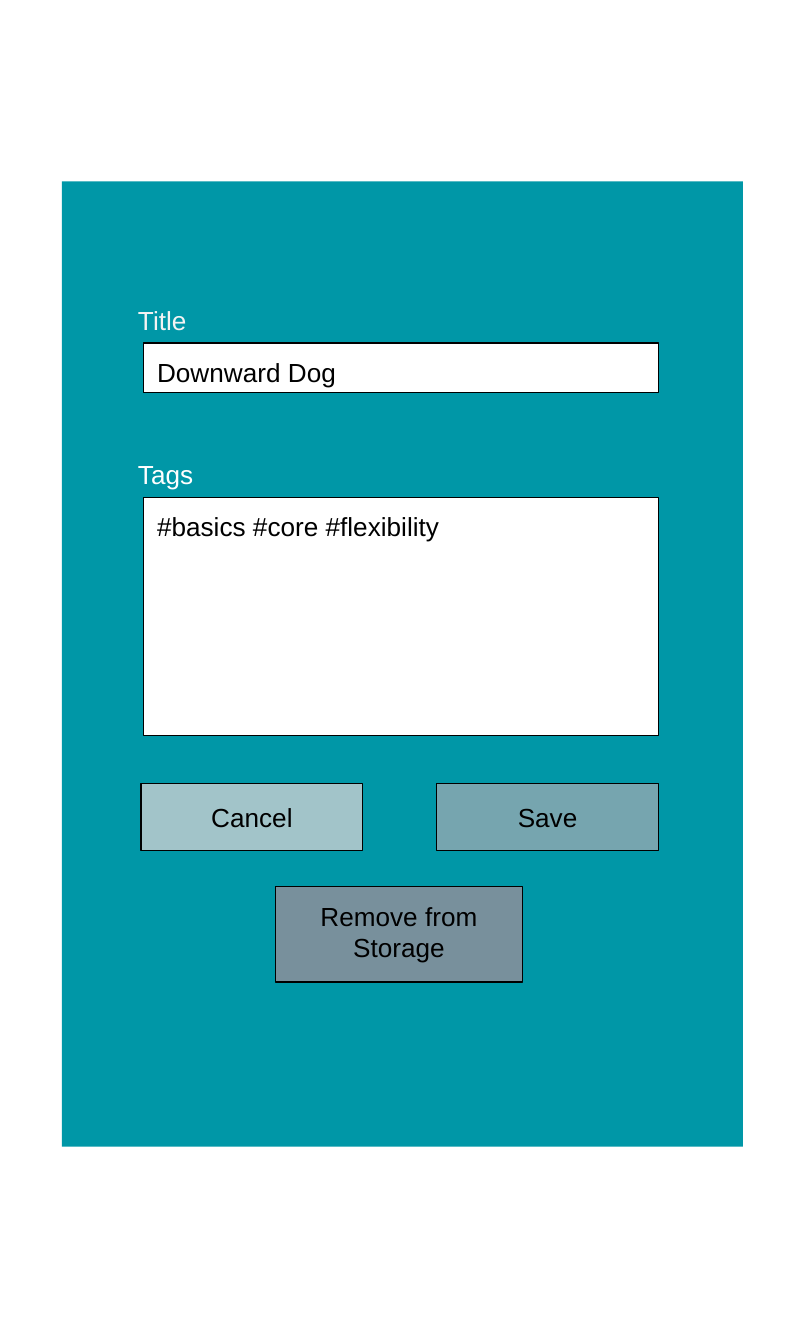
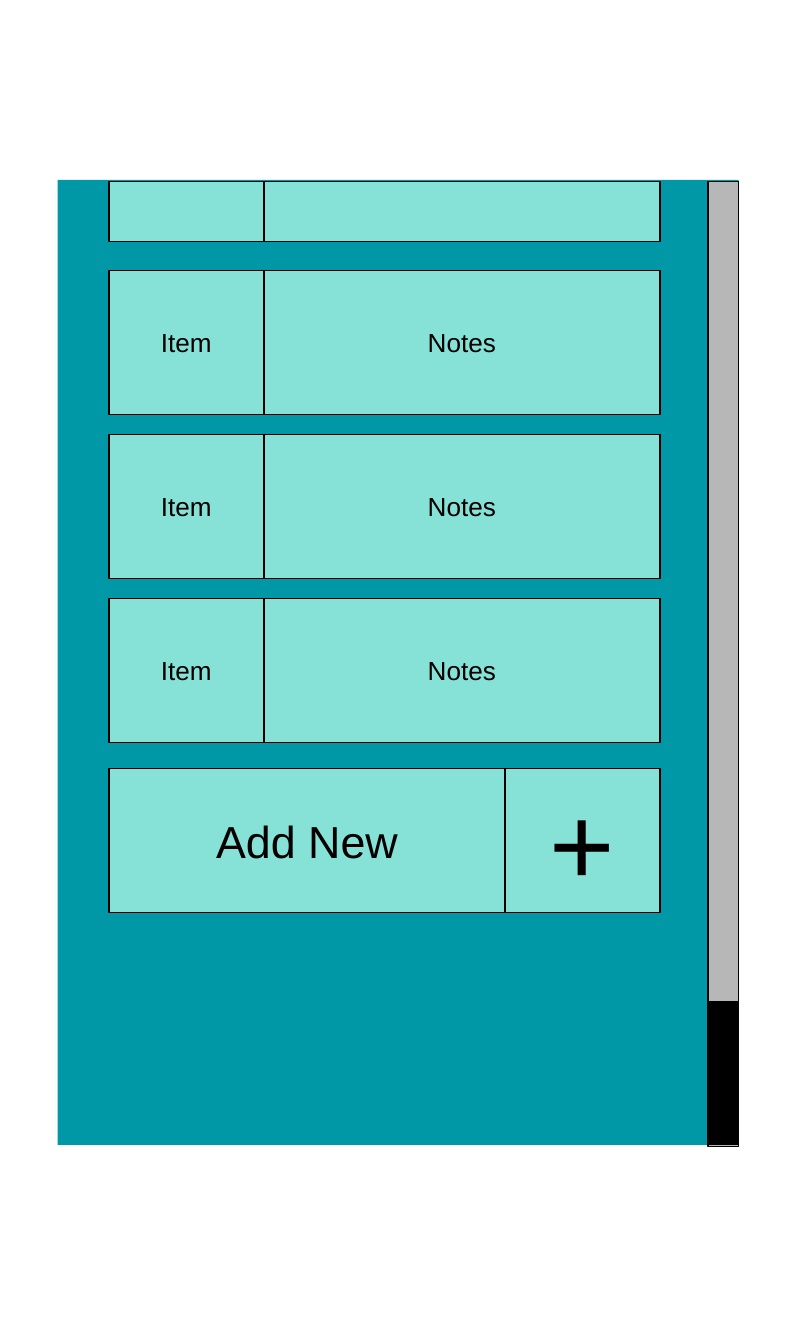
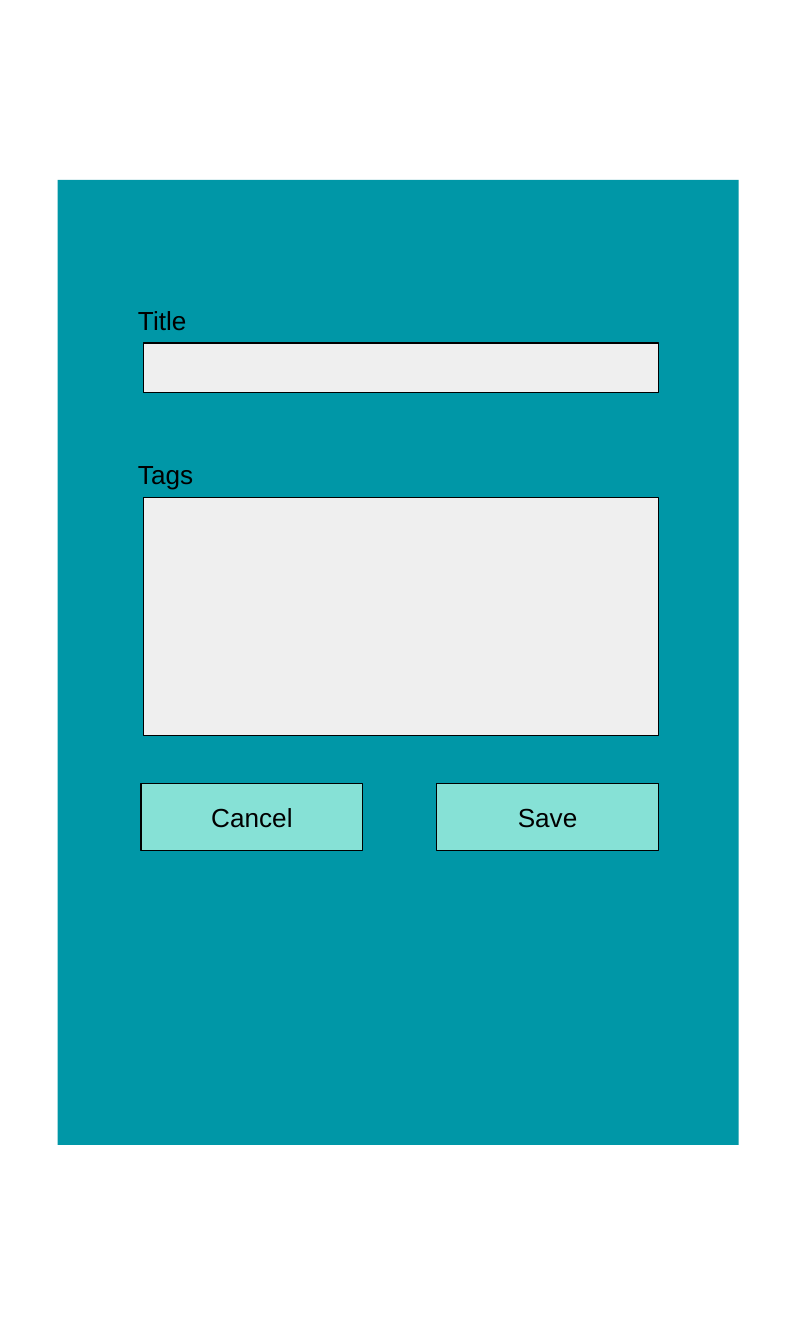
from dataclasses import dataclass

from pptx import Presentation
from pptx.dml.color import RGBColor
from pptx.enum.shapes import MSO_SHAPE
from pptx.enum.text import MSO_ANCHOR, PP_ALIGN
from pptx.slide import Slide
from pptx.text.text import TextFrame
from pptx.util import Cm, Pt

FONT = "Arial"
BLACK = "000000"
WHITE = "FFFFFF"
TEAL = "0097A7"
MINT = "86E1D6"
PALE_GREY = "EFEFEF"
TRACK_GREY = "B7B7B7"

INSET = 0.25
PANEL_WIDTH, PANEL_HEIGHT = 12.88, 18.24

FIELD_LEFT, FIELD_WIDTH = 2.72, 9.73
LABEL_LEFT, LABEL_WIDTH, LABEL_HEIGHT, LABEL_RISE = 2.36, 2.97, 0.94, 0.98
BUTTON_TOP, BUTTON_WIDTH, BUTTON_HEIGHT = 14.81, 4.19, 1.27

ROW_LEFT, NARROW, WIDE = 2.06, 2.93, 7.49
ROW_TOP, ROW_HEIGHT, ROW_PITCH = 5.11, 2.72, 3.1
SCROLL_LEFT, SCROLL_WIDTH = 13.39, 0.58


@dataclass(frozen=True)
class Area:
    left: float
    top: float
    width: float
    height: float

    def lengths(self) -> tuple[Cm, Cm, Cm, Cm]:
        return Cm(self.left), Cm(self.top), Cm(self.width), Cm(self.height)


@dataclass(frozen=True)
class Field:
    label: str
    top: float
    height: float


@dataclass(frozen=True)
class Button:
    text: str
    area: Area
    anchor: MSO_ANCHOR = MSO_ANCHOR.MIDDLE


FIELDS = (Field("Title", 6.48, 0.94), Field("Tags", 9.4, 4.5))
CANCEL = Button("Cancel", Area(2.67, BUTTON_TOP, BUTTON_WIDTH, BUTTON_HEIGHT))
SAVE = Button("Save", Area(8.26, BUTTON_TOP, BUTTON_WIDTH, BUTTON_HEIGHT))
REMOVE = Button("Remove from Storage", Area(5.21, 16.76, 4.67, 1.8), MSO_ANCHOR.TOP)


def color(value: str) -> RGBColor:
    return RGBColor.from_string(value)


def write(text_frame: TextFrame, text: str, size: float = 14, text_color: str = BLACK,
          alignment: PP_ALIGN = PP_ALIGN.CENTER,
          anchor: MSO_ANCHOR = MSO_ANCHOR.MIDDLE) -> None:
    text_frame.text = text
    text_frame.word_wrap = True
    text_frame.vertical_anchor = anchor
    text_frame.margin_left = text_frame.margin_right = Cm(INSET)
    text_frame.margin_top = text_frame.margin_bottom = Cm(INSET)
    paragraph = text_frame.paragraphs[0]
    paragraph.alignment = alignment
    for run in paragraph.runs:
        run.font.name = FONT
        run.font.size = Pt(size)
        run.font.color.rgb = color(text_color)


def add_box(slide: Slide, area: Area, fill: str, outlined: bool = True) -> TextFrame:
    shape = slide.shapes.add_shape(MSO_SHAPE.RECTANGLE, *area.lengths())
    shape.shadow.inherit = False
    shape.fill.solid()
    shape.fill.fore_color.rgb = color(fill)
    if outlined:
        shape.line.color.rgb = color(BLACK)
        shape.line.width = Pt(0.75)
    else:
        shape.line.fill.background()
    return shape.text_frame


def add_screen(presentation: Presentation, left: float = 1.09, top: float = 3.4) -> Slide:
    slide = presentation.slides.add_slide(presentation.slide_layouts[6])
    add_box(slide, Area(left, top, PANEL_WIDTH, PANEL_HEIGHT), TEAL, outlined=False)
    return slide


def add_field(slide: Slide, field: Field, fill: str, label_color: str, value: str = "") -> None:
    label_area = Area(LABEL_LEFT, field.top - LABEL_RISE, LABEL_WIDTH, LABEL_HEIGHT)
    label = slide.shapes.add_textbox(*label_area.lengths())
    write(label.text_frame, field.label, text_color=label_color,
          alignment=PP_ALIGN.LEFT, anchor=MSO_ANCHOR.TOP)
    box = add_box(slide, Area(FIELD_LEFT, field.top, FIELD_WIDTH, field.height), fill)
    if value:
        write(box, value, alignment=PP_ALIGN.LEFT, anchor=MSO_ANCHOR.TOP)


def add_button(slide: Slide, button: Button, fill: str) -> None:
    write(add_box(slide, button.area, fill), button.text, anchor=button.anchor)


def add_row(slide: Slide, top: float, height: float, first_width: float) -> tuple[TextFrame, TextFrame]:
    second_width = NARROW + WIDE - first_width
    first = add_box(slide, Area(ROW_LEFT, top, first_width, height), MINT)
    second = add_box(slide, Area(ROW_LEFT + first_width, top, second_width, height), MINT)
    return first, second


def build_edit_screen(presentation: Presentation) -> None:
    slide = add_screen(presentation, 1.17, 3.43)
    values = ("Downward Dog", "#basics #core #flexibility")
    for field, label_color, value in zip(FIELDS, ("F3F3F3", WHITE), values):
        add_field(slide, field, WHITE, label_color, value)
    for button, fill in ((CANCEL, "A2C4C9"), (SAVE, "76A5AF"), (REMOVE, "78909C")):
        add_button(slide, button, fill)


def build_list_screen(presentation: Presentation) -> None:
    slide = add_screen(presentation)
    add_box(slide, Area(SCROLL_LEFT, 3.43, SCROLL_WIDTH, PANEL_HEIGHT), TRACK_GREY)
    add_box(slide, Area(SCROLL_LEFT, 18.92, SCROLL_WIDTH, ROW_HEIGHT), BLACK, outlined=False)
    add_row(slide, 3.43, 1.14, NARROW)
    for index in range(3):
        item, notes = add_row(slide, ROW_TOP + index * ROW_PITCH, ROW_HEIGHT, NARROW)
        write(item, "Item")
        write(notes, "Notes")
    add_new, plus = add_row(slide, 14.53, ROW_HEIGHT, WIDE)
    write(add_new, "Add New", 24)
    write(plus, "+", 60)


def build_new_screen(presentation: Presentation) -> None:
    slide = add_screen(presentation)
    for field in FIELDS:
        add_field(slide, field, PALE_GREY, BLACK)
    for button in (CANCEL, SAVE):
        add_button(slide, button, MINT)


def main() -> None:
    presentation = Presentation()
    presentation.slide_width = Cm(15.24)
    presentation.slide_height = Cm(25.4)
    build_edit_screen(presentation)
    build_list_screen(presentation)
    build_new_screen(presentation)
    presentation.save("out.pptx")


if __name__ == "__main__":
    main()
